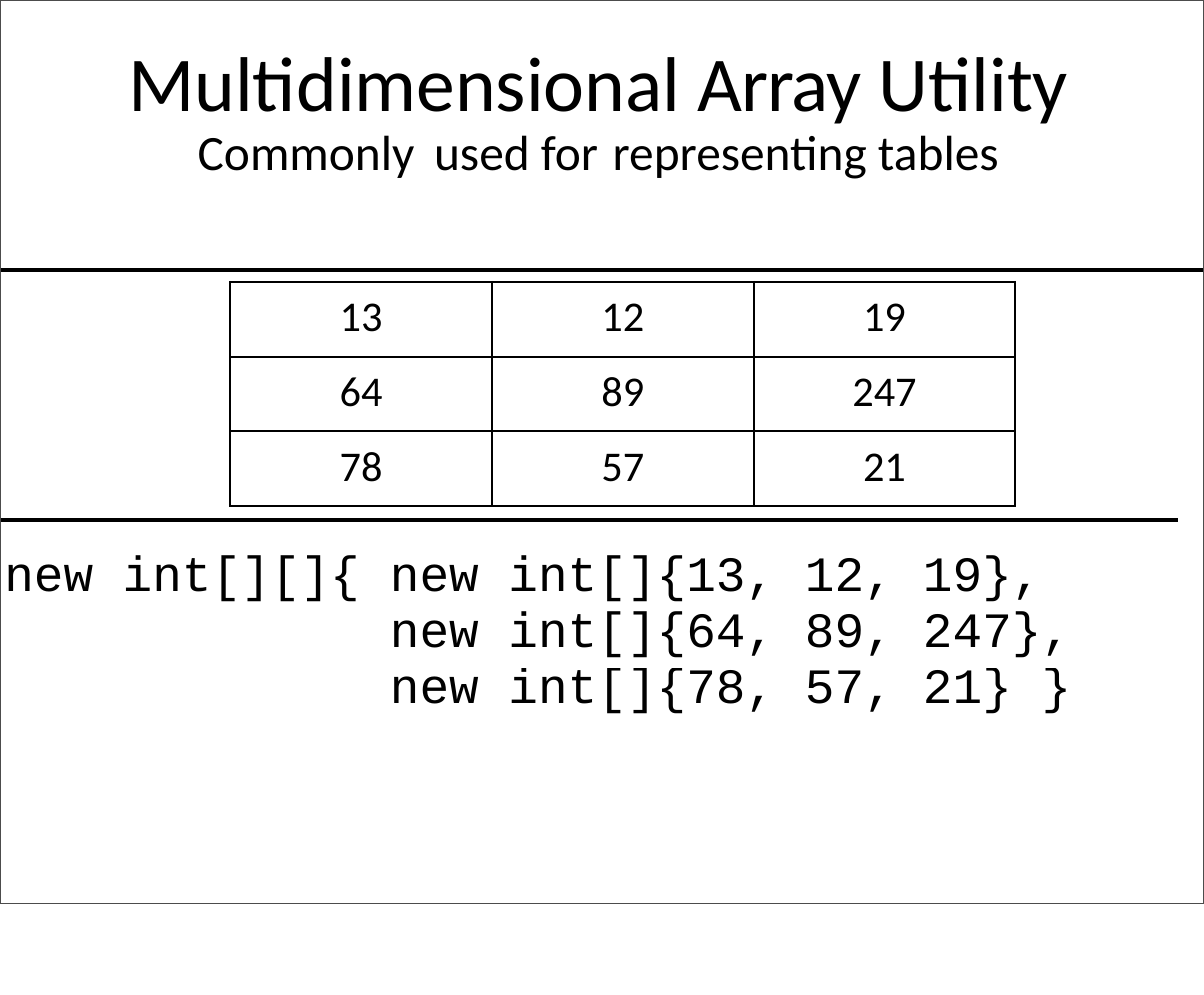
from lxml import etree
from pptx import Presentation, util as u
from pptx.dml.color import RGBColor
from pptx.enum import shapes, text
from pptx.oxml import ns

CENTER = text.PP_ALIGN.CENTER
LEFT = text.PP_ALIGN.LEFT


def color(value):
    return RGBColor.from_string(value)


def sub(parent, tag, **attrs):
    return etree.SubElement(parent, ns.qn(tag), attrs)


def assign(target, values):
    for name, value in values.items():
        setattr(target, name, value)


class Deck:
    ink = "000000"
    sans = "Calibri"
    mono = "Courier New"

    def __init__(self, width, height):
        self.prs = Presentation()
        assign(self.prs, {"slide_width": u.Cm(width), "slide_height": u.Cm(height)})
        self.s = self.prs.slides.add_slide(self.prs.slide_layouts[6])

    def run(self, p, content, size, font, spacing=0):
        r = p.add_run()
        r.text = content
        assign(r.font, {"size": u.Pt(size), "name": font, "bold": False})
        r.font.color.rgb = color(self.ink)
        if spacing:
            r._r.get_or_add_rPr().set("spc", str(spacing))

    def heading(self, box, runs, subtitle, tabs):
        sp = self.s.shapes.add_textbox(*map(u.Cm, box))
        tf = sp.text_frame
        assign(tf, {"word_wrap": True, "margin_left": 0, "margin_right": 0,
                    "margin_top": u.Cm(0.43), "margin_bottom": 0})
        p = tf.paragraphs[0]
        assign(p, {"alignment": CENTER, "line_spacing": u.Pt(96)})
        for content, spacing in runs:
            self.run(p, content, 66, self.sans, spacing)
        p = tf.add_paragraph()
        assign(p, {"alignment": CENTER, "line_spacing": u.Pt(45.2)})
        stops = sub(p._p.get_or_add_pPr(), "a:tabLst")
        for stop in tabs:
            sub(stops, "a:tab", pos=str(u.Cm(stop)), algn="l")
        self.run(p, subtitle, 42, self.sans)

    def rule(self, y, width):
        line = self.s.shapes.add_connector(
            shapes.MSO_CONNECTOR.STRAIGHT, 0, u.Cm(y), u.Cm(width), u.Cm(y))
        line.line.color.rgb = color(self.ink)
        line.line.width = u.Pt(3)
        sub(line._element.spPr, "a:effectLst")

    def frame(self, width, height):
        sp = self.s.shapes.add_shape(
            shapes.MSO_SHAPE.RECTANGLE, 0, 0, u.Cm(width), u.Cm(height))
        sp.shadow.inherit = False
        sp.fill.background()
        sp.line.color.rgb = color("4C4C4C")
        sp.line.width = u.Pt(1)

    def border(self, cell):
        tc_pr = cell._tc.get_or_add_tcPr()
        for i, side in enumerate("LRTB"):
            ln = sub(tc_pr, f"a:ln{side}", w=str(u.Pt(2.25)))
            sub(sub(ln, "a:solidFill"), "a:srgbClr", val=self.ink)
            tc_pr.insert(i, ln)

    def table(self, left, top, widths, heights, rows, size, font,
              inset=0, leading=None, indents=None, bordered=False):
        t = self.s.shapes.add_table(
            len(rows), len(widths), u.Cm(left), u.Cm(top),
            u.Cm(sum(widths)), u.Cm(sum(heights))).table
        assign(t, {"first_row": False, "horz_banding": False})
        for column, width in zip(t.columns, widths):
            column.width = u.Cm(width)
        indents = indents or {}
        for i, row in enumerate(rows):
            t.rows[i].height = u.Cm(heights[i])
            for j, content in enumerate(row):
                cell = t.cell(i, j)
                cell.fill.background()
                assign(cell, {"margin_left": u.Cm(indents.get(j, 0)), "margin_right": 0,
                              "margin_top": u.Cm(inset), "margin_bottom": 0})
                if bordered:
                    self.border(cell)
                if content:
                    p = cell.text_frame.paragraphs[0]
                    p.alignment = LEFT if j in indents else CENTER
                    if leading:
                        p.line_spacing = u.Pt(leading)
                    self.run(p, content, size, font)


def main():
    deck = Deck(36.12, 29.85)
    values = [[13, 12, 19], [64, 89, 247], [78, 57, 21]]
    endings = [",", ",", " }"]
    code = []
    for i, ((a, b, c), ending) in enumerate(zip(values, endings)):
        opening = ["", ""] if i else ["new", "int[][]{"]
        code.append(opening + ["new", f"int[]{{{a},", f"{b},", f"{c}}}{ending}"])

    deck.heading((2.39, 0, 31.12, 5.31),
                 [("Multidimensional ", -10), ("Array ", -80), ("Utility", -10)],
                 "Commonly\tused for\trepresenting tables", (7.09, 12.45))
    deck.rule(8.1, 36.12)
    deck.table(6.91, 8.46, [7.85] * 3, [2.24] * 3,
               [[str(v) for v in row] for row in values],
               36, deck.sans, inset=0.28, bordered=True)
    deck.rule(15.6, 35.33)
    deck.table(0.05, 16.64, [3.2, 8, 3.56, 8.89, 3.56, 4.98], [1.68, 1.7, 1.68],
               code, 42, deck.mono, leading=43.5, indents={0: 0.08, 1: 0.43, 5: 0.43})
    deck.frame(36.12, 27.1)
    deck.prs.save("out.pptx")


if __name__ == "__main__":
    main()
